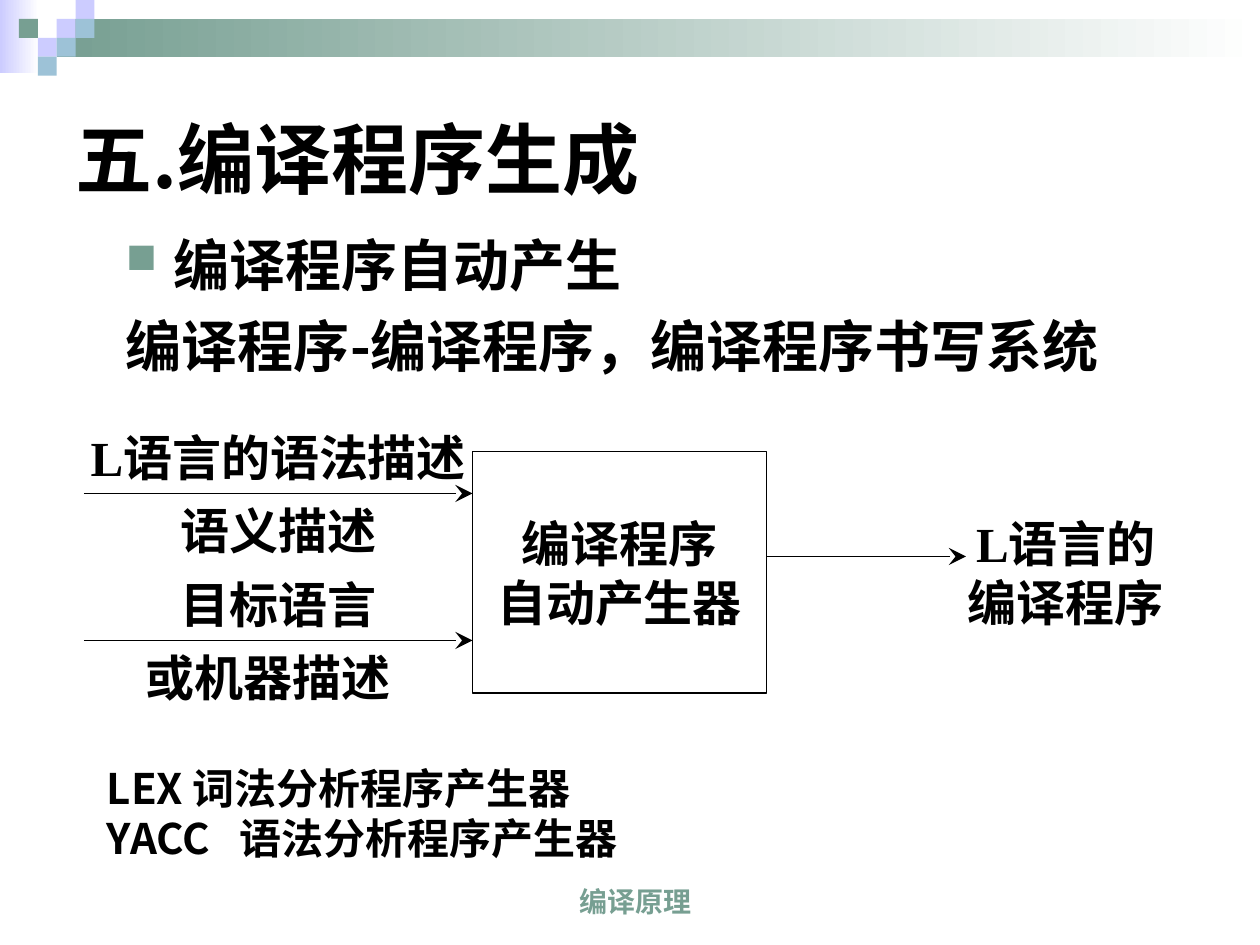
from dataclasses import dataclass

from lxml.etree import SubElement
from pptx import Presentation
from pptx.dml.color import RGBColor
from pptx.enum.shapes import MSO_CONNECTOR, MSO_SHAPE
from pptx.enum.text import MSO_ANCHOR, PP_ALIGN
from pptx.oxml.ns import qn
from pptx.shapes.autoshape import Shape
from pptx.slide import Slide
from pptx.util import Pt

BLACK, WHITE = "000000", "FFFFFF"
GREEN, LILAC, BLUE = "779F92", "CCCCFF", "9DC2D7"
SANS, SERIF, FOOTER_FONT = "Noto Sans CJK SC", "Times New Roman", "Arial"
TILE = 10.8
ROW = 42


@dataclass
class Box:
    left: float
    top: float
    width: float
    height: float

    def lengths(self) -> list[Pt]:
        return [Pt(v) for v in (self.left, self.top, self.width, self.height)]


@dataclass
class Label:
    text: str
    box: Box
    size: float = 28
    font: str = SERIF
    color: str = BLACK
    align: PP_ALIGN = PP_ALIGN.CENTER
    anchor: MSO_ANCHOR = MSO_ANCHOR.MIDDLE
    inset: float = 0
    wrap: bool = False


@dataclass
class Arrow:
    start: float
    end: float
    y: float


@dataclass
class Tile:
    column: int
    row: int
    color: str


def rgb(value: str) -> RGBColor:
    return RGBColor.from_string(value)


def add_rectangle(slide: Slide, box: Box) -> Shape:
    rectangle = slide.shapes.add_shape(MSO_SHAPE.RECTANGLE, *box.lengths())
    rectangle.shadow.inherit = False
    rectangle.line.fill.background()
    return rectangle


def add_tile(slide: Slide, tile: Tile) -> None:
    box = Box(tile.column * TILE, tile.row * TILE, TILE, TILE)
    square = add_rectangle(slide, box)
    square.fill.solid()
    square.fill.fore_color.rgb = rgb(tile.color)


def add_fade(slide: Slide, box: Box, color: str) -> None:
    band = add_rectangle(slide, box)
    band.fill.gradient()
    band.fill.gradient_angle = 0
    for stop, shade in zip(band.fill.gradient_stops, (color, WHITE)):
        stop.color.rgb = rgb(shade)


def write(shape: Shape, label: Label) -> Shape:
    frame = shape.text_frame
    frame.text = label.text
    frame.word_wrap = label.wrap
    frame.vertical_anchor = label.anchor
    frame.margin_left = frame.margin_right = Pt(label.inset)
    frame.margin_top = frame.margin_bottom = Pt(3.6)
    for paragraph in frame.paragraphs:
        paragraph.alignment = label.align
        for run in paragraph.runs:
            run.font.size = Pt(label.size)
            run.font.bold = True
            run.font.name = label.font
            run.font.color.rgb = rgb(label.color)
            east_asian = SubElement(run._r.get_or_add_rPr(), qn("a:ea"))
            east_asian.set("typeface", SANS)
    return shape


def add_label(slide: Slide, label: Label) -> Shape:
    return write(slide.shapes.add_textbox(*label.box.lengths()), label)


def add_arrow(slide: Slide, arrow: Arrow) -> None:
    connector = slide.shapes.add_connector(
        MSO_CONNECTOR.STRAIGHT,
        Pt(arrow.start), Pt(arrow.y), Pt(arrow.end), Pt(arrow.y),
    )
    connector.line.width = Pt(1)
    connector.line.color.rgb = rgb(BLACK)
    head = SubElement(connector.line._get_or_add_ln(), qn("a:tailEnd"))
    for attribute, value in (("type", "stealth"), ("w", "lg"), ("len", "lg")):
        head.set(attribute, value)
    SubElement(connector._element.spPr, qn("a:effectLst"))


def add_bullet(paragraph, color: str) -> None:
    properties = paragraph._p.get_or_add_pPr()
    properties.set("marL", str(Pt(27)))
    properties.set("indent", str(-Pt(27)))
    bullet_color = SubElement(properties, qn("a:buClr"))
    SubElement(bullet_color, qn("a:srgbClr")).set("val", color)
    SubElement(properties, qn("a:buSzPct")).set("val", "75000")
    SubElement(properties, qn("a:buChar")).set("char", "■")


def add_tab_stop(paragraph, position: float) -> None:
    stops = SubElement(paragraph._p.get_or_add_pPr(), qn("a:tabLst"))
    stop = SubElement(stops, qn("a:tab"))
    stop.set("pos", str(Pt(position)))
    stop.set("algn", "l")


def add_passage(slide: Slide, text: str, box: Box, size: float,
                anchor: MSO_ANCHOR = MSO_ANCHOR.TOP) -> Shape:
    return add_label(slide, Label(text, box, size, SANS, BLACK, PP_ALIGN.LEFT,
                                  anchor, 7.2, True))


def main() -> None:
    presentation = Presentation()
    presentation.slide_width, presentation.slide_height = Pt(720), Pt(540)
    slide = presentation.slides.add_slide(presentation.slide_layouts[6])

    add_fade(slide, Box(0, 0, 22.3, 41.8), LILAC)
    add_fade(slide, Box(3 * TILE, TILE, 720 - 3 * TILE, 2 * TILE), GREEN)
    tiles = [
        Tile(3, 1, LILAC), Tile(4, 0, LILAC), Tile(4, 1, BLUE), Tile(2, 2, LILAC),
        Tile(1, 1, GREEN), Tile(3, 2, BLUE), Tile(2, 3, BLUE),
    ]
    for tile in tiles:
        add_tile(slide, tile)

    add_label(slide, Label("编译原理", Box(235.5, 492, 255, 36), 16, FOOTER_FONT, GREEN,
                           anchor=MSO_ANCHOR.BOTTOM, inset=7.2, wrap=True))
    add_passage(slide, "五.编译程序生成", Box(36, 36, 648, 108), 44, MSO_ANCHOR.MIDDLE)

    overview = add_passage(
        slide, "编译程序自动产生\n编译程序-编译程序，编译程序书写系统",
        Box(64.8, 128, 590, 94), 32)
    automatic, systems = overview.text_frame.paragraphs
    add_bullet(automatic, GREEN)
    systems.space_before = Pt(8)

    tools = add_passage(
        slide, "LEX 词法分析程序产生器\nYACC\t语法分析程序产生器",
        Box(54, 432, 612, 108), 24)
    add_tab_stop(tools.text_frame.paragraphs[1], 76)

    generator_box = Box(270, 258, 168, 138)
    generator = add_rectangle(slide, generator_box)
    generator.fill.background()
    generator.line.color.rgb = rgb(BLACK)
    generator.line.width = Pt(1)
    write(generator, Label("编译程序\n自动产生器", generator_box))

    inputs = [("L语言的语法描述", 45), ("语义描述", 45), ("目标语言", 45), ("或机器描述", 39)]
    for row, (description, left) in enumerate(inputs):
        add_label(slide, Label(description, Box(left, 240 + row * ROW, 228, ROW)))
    add_label(slide, Label("L语言的\n编译程序", Box(546, 270, 126, 114)))

    for arrow in (Arrow(48, 270, 282), Arrow(48, 270, 366), Arrow(438, 552, 318)):
        add_arrow(slide, arrow)

    presentation.save("out.pptx")


if __name__ == "__main__":
    main()
